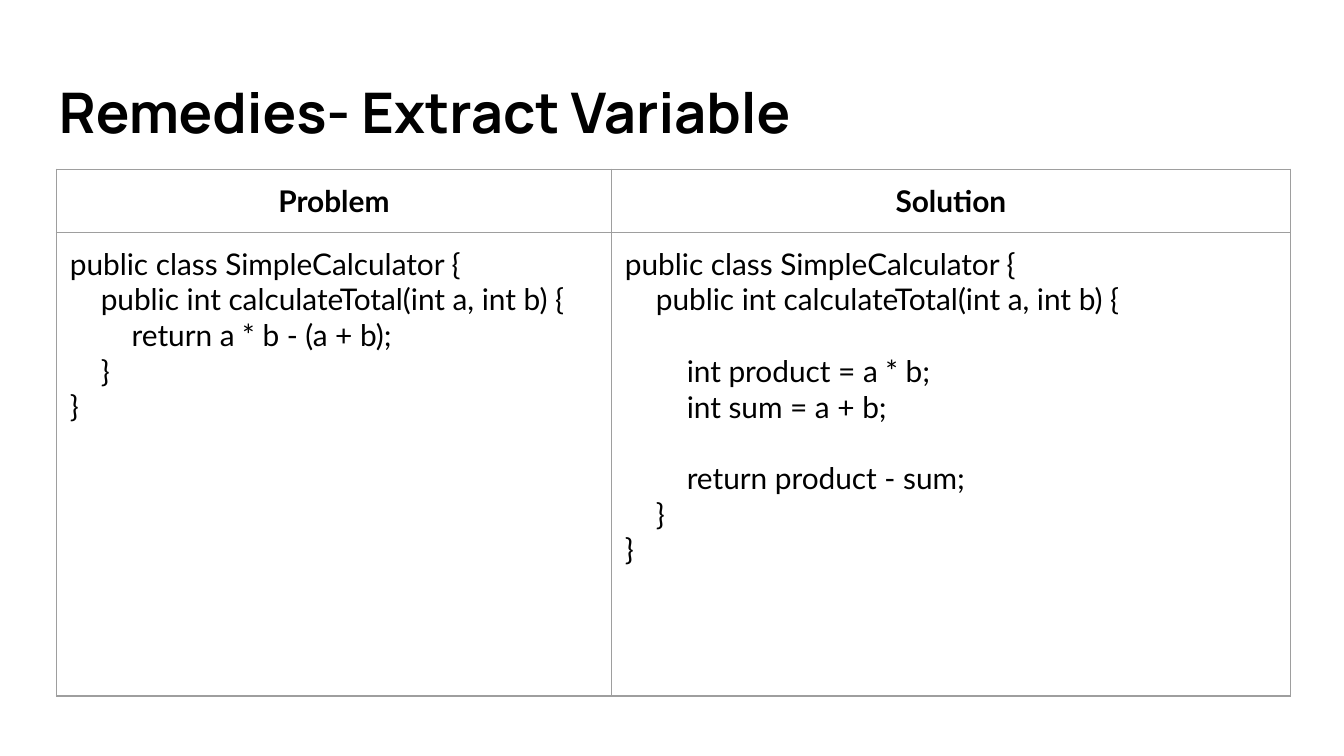
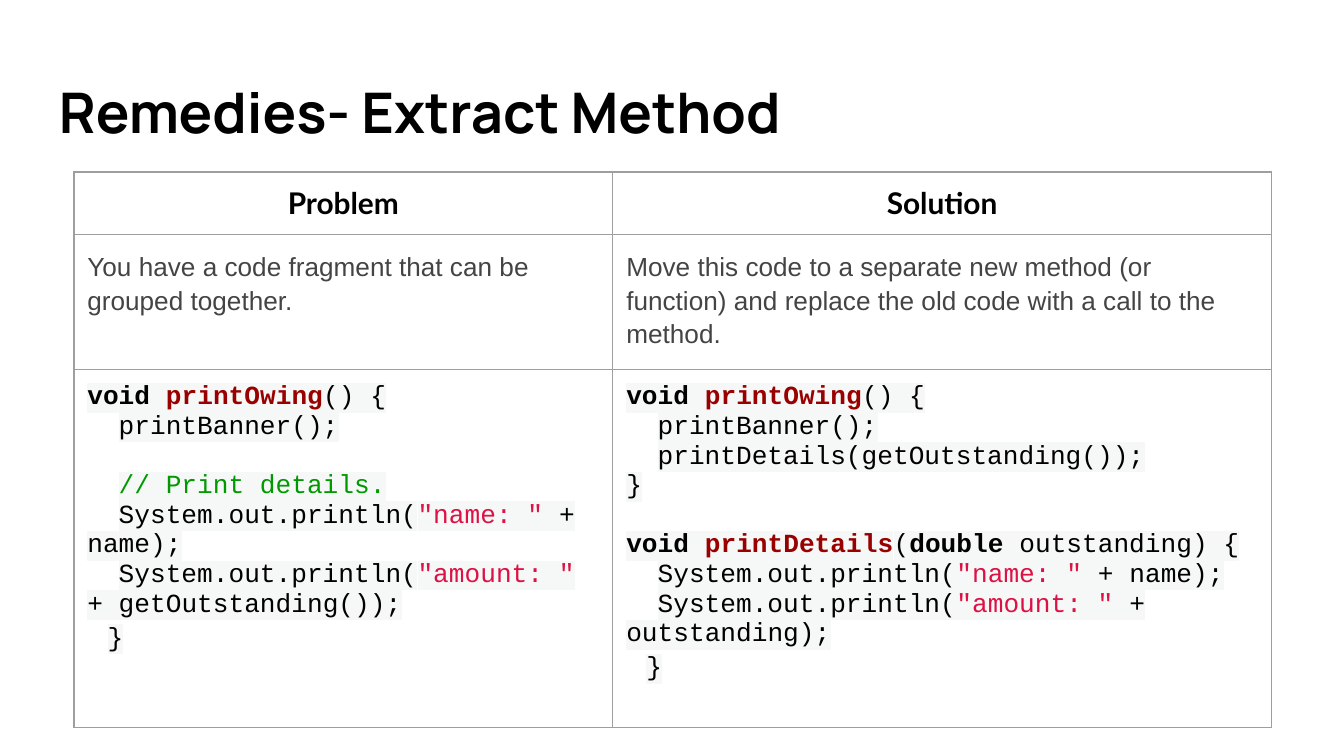
from lxml import etree
from pptx import Presentation
from pptx.dml.color import RGBColor
from pptx.enum.text import MSO_ANCHOR, PP_ALIGN
from pptx.oxml.ns import qn
from pptx.util import Inches, Pt

CENTER = PP_ALIGN.CENTER
LEFT = PP_ALIGN.LEFT
MIDDLE = MSO_ANCHOR.MIDDLE

BLACK, GREY, BORDER, CODE_BACK = "000000", "444444", "9E9E9E", "F6F8F8"

STYLES = {
    "title": dict(font="Manrope", size=30, bold=True),
    "header": dict(font="Lato", size=16, bold=True, align=CENTER),
    "simple": dict(font="Lato", size=16, space=0.23 / 4, blank=19.2),
    "prose": dict(font="Arial", size=14, color=GREY, spacing=1.15),
    "code": dict(font="Courier New", size=14, space=0.7 / 6, blank=15.86,
                 highlight=CODE_BACK),
    "brace": dict(font="Courier New", size=14, left=0.15, spacing=1.15,
                  highlight=CODE_BACK),
}
TOKENS = {
    "keyword": (BLACK, True),
    "name": ("990000", True),
    "comment": ("009900", False),
    "string": ("DD1144", False),
}

HEADERS = [[("header", ["Problem"])], [("header", ["Solution"])]]
OWING = [("void", "keyword"), " ", ("printOwing", "name"), "() {"]
PRINT_NAME = ["  System.out.println(", ('"name: "', "string"), " + name);"]
PRINT_AMOUNT = ["  System.out.println(", ('"amount: "', "string")]

SLIDES = [
    dict(
        title="Remedies- Extract Variable",
        at=(0.42, 1.26),
        cols=[4.13, 5.05],
        rows=[0.47, 3.45],
        cells=[
            HEADERS,
            [
                [("simple", [
                    "public class SimpleCalculator {",
                    "    public int calculateTotal(int a, int b) {",
                    "        return a * b - (a + b);",
                    "    }",
                    "}",
                ])],
                [("simple", [
                    "public class SimpleCalculator {",
                    "    public int calculateTotal(int a, int b) {",
                    "",
                    "        int product = a * b;",
                    "        int sum = a + b;",
                    "",
                    "        return product - sum;",
                    "    }",
                    "}",
                ])],
            ],
        ],
    ),
    dict(
        title="Remedies- Extract Method",
        at=(0.55, 1.28),
        cols=[4.01, 4.9],
        rows=[0.43, 0.59, 2.66],
        cells=[
            HEADERS,
            [
                [("prose", ["You have a code fragment that can be grouped together."])],
                [("prose", ["Move this code to a separate new method (or function) "
                            "and replace the old code with a call to the method."])],
            ],
            [
                [("code", [
                    OWING,
                    "  printBanner();",
                    "",
                    ["  ", ("// Print details.", "comment")],
                    PRINT_NAME,
                    PRINT_AMOUNT + [" + getOutstanding());"],
                ]), ("brace", ["}"])],
                [("code", [
                    OWING,
                    "  printBanner();",
                    "  printDetails(getOutstanding());",
                    "}",
                    "",
                    [("void", "keyword"), " ", ("printDetails", "name"), "(",
                     ("double", "keyword"), " outstanding) {"],
                    PRINT_NAME,
                    PRINT_AMOUNT + [" + outstanding);"],
                ]), ("brace", ["}"])],
            ],
        ],
    ),
]


def rgb(color):
    return RGBColor.from_string(color)


def sub(parent, tag, **attrs):
    return etree.SubElement(parent, qn(tag), attrs)


def add_run(p, text, color, bold, highlight):
    r = p.add_run()
    r.text = text
    r.font.bold = bold
    r.font.color.rgb = rgb(color)
    if highlight:
        mark = etree.Element(qn("a:highlight"))
        sub(mark, "a:srgbClr", val=highlight)
        r.font._element.find(qn("a:solidFill")).addnext(mark)


def fill_paragraph(p, line, style):
    pieces = [line] if isinstance(line, str) else list(line)
    if isinstance(pieces[0], str):
        code = pieces[0].lstrip(" ")
        depth = len(pieces[0]) - len(code)
        pieces[0] = code
        if depth:
            pPr = p._p.get_or_add_pPr()
            pPr.set("marL", "0")
            pPr.set("indent", str(Inches(depth * style["space"])))
    if "left" in style:
        p._p.get_or_add_pPr().set("marL", str(Inches(style["left"])))
    p.alignment = style.get("align", LEFT)
    p.line_spacing = style.get("spacing", 1.0)
    p.font.name = style["font"]
    p.font.size = Pt(style["size"])
    plain = (style.get("color", BLACK), style.get("bold", False))
    for piece in pieces:
        text, token = (piece, None) if isinstance(piece, str) else piece
        if text:
            color, bold = TOKENS.get(token, plain)
            add_run(p, text, color, bold, style.get("highlight"))


def fill_text(tf, blocks):
    tf.word_wrap = True
    p, gap = tf.paragraphs[0], 0
    used = False
    for name, lines in blocks:
        style = STYLES[name]
        for line in lines:
            if not line:
                gap += style["blank"]
                continue
            if used:
                p = tf.add_paragraph()
            fill_paragraph(p, line, style)
            if gap:
                p.space_before = Pt(gap)
            used, gap = True, 0


def set_margins(part):
    part.margin_left = part.margin_right = Inches(0.1)
    part.margin_top = part.margin_bottom = Inches(0.1)


def style_cell(cell):
    set_margins(cell)
    tcPr = cell._tc.get_or_add_tcPr()
    for side in ("a:lnL", "a:lnR", "a:lnT", "a:lnB"):
        ln = sub(tcPr, side, w=str(Pt(0.75)))
        sub(sub(ln, "a:solidFill"), "a:srgbClr", val=BORDER)
    cell.fill.background()


def add_title(s, text):
    box = s.shapes.add_textbox(Inches(0.34), Inches(0.49), Inches(9.32), Inches(0.68))
    tf = box.text_frame
    tf.vertical_anchor = MIDDLE
    set_margins(tf)
    fill_text(tf, [("title", [text])])


def add_comparison(s, at, cols, rows, cells):
    size = (sum(cols), sum(rows))
    frame = s.shapes.add_table(len(rows), len(cols), *map(Inches, at + size))
    table = frame.table
    table.first_row = table.horz_banding = False
    for column, width in zip(table.columns, cols):
        column.width = Inches(width)
    for row, height, contents in zip(table.rows, rows, cells):
        row.height = Inches(height)
        for cell, blocks in zip(row.cells, contents):
            fill_text(cell.text_frame, blocks)
            style_cell(cell)


def main():
    prs = Presentation()
    prs.slide_width = Inches(10)
    prs.slide_height = prs.slide_width * 9 // 16
    for content in SLIDES:
        s = prs.slides.add_slide(prs.slide_layouts[6])
        add_title(s, content["title"])
        add_comparison(s, content["at"], content["cols"], content["rows"], content["cells"])
    prs.save("out.pptx")


if __name__ == "__main__":
    main()
